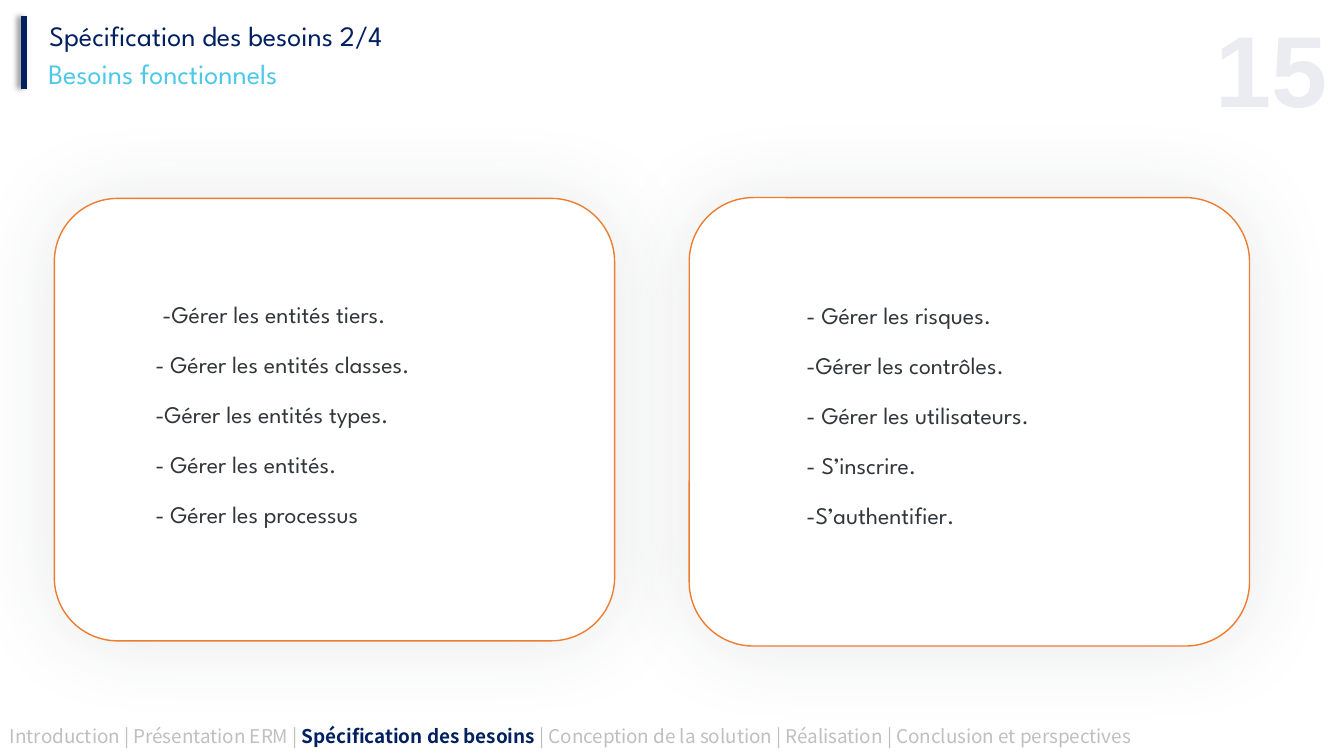
from lxml import etree
from pptx import Presentation
from pptx import util as u
from pptx.dml.color import RGBColor
from pptx.enum import shapes, text
from pptx.oxml.ns import qn

COLORS = {
    "navy": "002060",
    "cyan": "00B1E1",
    "orange": "ED7D31",
    "white": "FFFFFF",
    "ink": "31373B",
    "grey": "BFBFBF",
    "pale": "EBECF2",
    "black": "000000",
}
HEADING_FONT = "League Spartan"
FOOTER_FONT = "Noto Sans CJK KR"

SECTIONS = [
    ("Introduction | Présentation ERM | ", "grey", False),
    ("Spécification des besoins ", "navy", True),
    ("| Conception de la solution | Réalisation | Conclusion et perspectives", "grey", False),
]
LEFT_NEEDS = [
    "-Gérer les entités tiers.",
    "- Gérer les entités classes.",
    "-Gérer les entités types.",
    "- Gérer les entités.",
    "- Gérer les processus",
]
RIGHT_NEEDS = [
    "- Gérer les risques.",
    "-Gérer les contrôles.",
    "- Gérer les utilisateurs.",
    "- S’inscrire.",
    "-S’authentifier.",
]


def color(name):
    """Return the named colour."""
    return RGBColor.from_string(COLORS[name])


def style(font, name, size, tint, bold=False):
    """Set the face, size, colour and weight of a font."""
    font.name = name
    font.size = u.Pt(size)
    font.color.rgb = color(tint)
    font.bold = bold


def place(box, left, top, width, height):
    """Position a box, in centimetres, with top-anchored wrapped text."""
    box.left, box.top, box.width, box.height = map(u.Cm, (left, top, width, height))
    frame = box.text_frame
    frame.word_wrap = True
    frame.auto_size = text.MSO_AUTO_SIZE.NONE
    frame.vertical_anchor = text.MSO_ANCHOR.TOP
    return frame


def add_label(page, area):
    """Add an empty text box and return its first paragraph."""
    box = page.shapes.add_textbox(0, 0, 0, 0)
    return place(box, *area).paragraphs[0]


def add_shadow(shape, tint, opacity, blur, distance=0, angle=0):
    """Give a shape an outer shadow."""
    effects = etree.SubElement(shape._element.spPr, qn("a:effectLst"))
    shadow = etree.SubElement(
        effects, qn("a:outerShdw"), blurRad=str(u.Pt(blur)),
        dist=str(u.Pt(distance)), dir=str(angle * 60000), algn="ctr", rotWithShape="0")
    fill = etree.SubElement(shadow, qn("a:srgbClr"), val=COLORS[tint])
    etree.SubElement(fill, qn("a:alpha"), val=str(opacity * 1000))


def add_heading(page):
    """Fill the title, the subtitle and the bar beside them."""
    title = place(page.shapes.title, 0.99, 0.33, 17.37, 1.12)
    para = title.paragraphs[0]
    para.text = "Spécification des besoins 2/4"
    para.alignment = text.PP_ALIGN.LEFT
    style(para.font, HEADING_FONT, 20, "navy")

    para = add_label(page, (0.97, 1.3, 7.36, 1.12))
    para.text = "Besoins fonctionnels"
    style(para.font, HEADING_FONT, 20, "cyan")
    for fill in para._p.iter(qn("a:srgbClr")):
        etree.SubElement(fill, qn("a:alpha"), val="70000")

    bar = page.shapes.add_connector(
        shapes.MSO_CONNECTOR.STRAIGHT, u.Cm(0.61), u.Cm(0.41), u.Cm(0.61), u.Cm(2.24))
    bar.line.color.rgb = color("navy")
    bar.line.width = u.Pt(4.5)
    add_shadow(bar, "black", 40, 4, 3, 180)


def add_card(page, left, top, height):
    """Add a rounded white card with an orange outline."""
    card = page.shapes.add_shape(
        shapes.MSO_SHAPE.ROUNDED_RECTANGLE, u.Cm(left), u.Cm(top), u.Cm(14.12), u.Cm(height))
    card.adjustments[0] = 0.143
    card.fill.solid()
    card.fill.fore_color.rgb = color("white")
    card.line.color.rgb = color("orange")
    card.line.width = u.Pt(1)
    add_shadow(card, "ink", 11, 61)


def fill_list(page, body, left, top, needs, first_indent):
    """Write the needs in a body placeholder and bring it to the front."""
    frame = place(body, left, top, 11.99, 8.86)
    for index, need in enumerate(needs):
        para = frame.add_paragraph() if index else frame.paragraphs[0]
        para.text = need
        para.line_spacing = 1.75 if index else 1.5
        para.space_before = u.Pt(0)
        properties = para._p.get_or_add_pPr()
        properties.set("marL", str(u.Cm(0.61 if index else first_indent)))
        properties.set("indent", "0")
        etree.SubElement(properties, qn("a:buNone"))
        style(para.font, HEADING_FONT, 17, "ink")
    page.shapes._spTree.append(body._element)


def add_footer(page):
    """Add the trail of sections with the current one in bold."""
    para = add_label(page, (0, 18.14, 32.82, 0.84))
    for words, tint, bold in SECTIONS:
        span = para.add_run()
        span.text = words
        style(span.font, FOOTER_FONT, 13.5, tint, bold)


def add_number(page):
    """Add the large page number."""
    para = add_label(page, (28.6, 0.04, 5.1, 3.2))
    para.text = "15"
    para.alignment = text.PP_ALIGN.RIGHT
    style(para.font, "Arial", 72, "pale", True)


def main():
    """Build and save the deck."""
    deck = Presentation()
    deck.slide_width, deck.slide_height = u.Cm(33.87), u.Cm(19.05)
    page = deck.slides.add_slide(deck.slide_layouts.get_by_name("Two Content"))
    left_body, right_body = list(page.placeholders)[1:]
    add_heading(page)
    add_number(page)
    add_footer(page)
    add_card(page, 1.37, 5, 11.15)
    fill_list(page, left_body, 3.05, 7.06, LEFT_NEEDS, 0.79)
    add_card(page, 17.37, 4.98, 11.3)
    fill_list(page, right_body, 19.46, 7.09, RIGHT_NEEDS, 0.61)
    deck.save("out.pptx")


if __name__ == "__main__":
    main()
